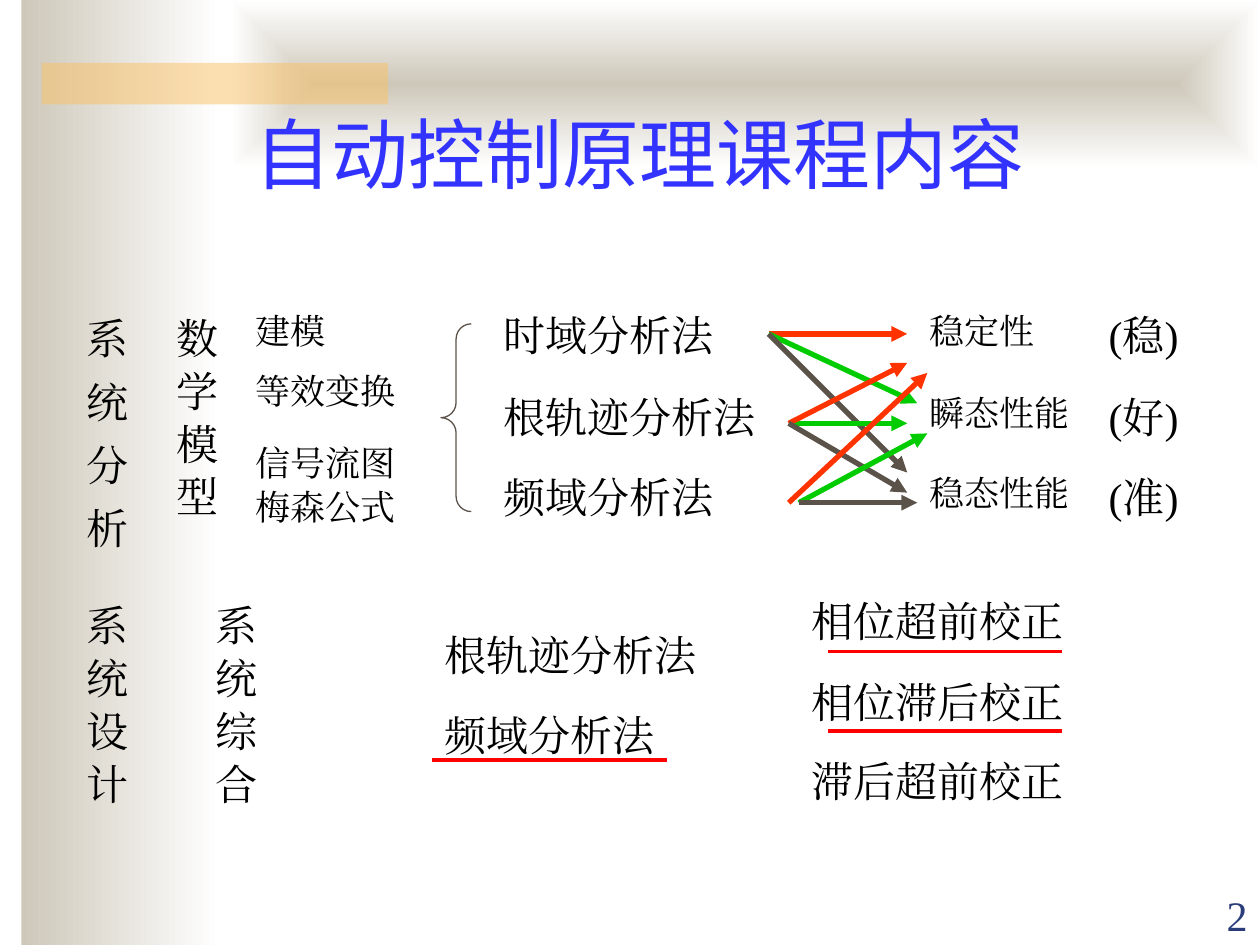
from lxml import etree
from pptx import Presentation
from pptx.dml.color import RGBColor
from pptx.enum import shapes, text
from pptx.oxml import ns
from pptx.util import Inches, Pt

SERIF, SANS = "Times New Roman", "Noto Sans CJK JP"
SAND, WHITE, AMBER, BLACK = "CEC8BA", "FFFFFF", "FAC164", "000000"
RED, GREEN, GREY, UNDERLINE = "FF3300", "00CC00", "5B5249", "FF0000"

TITLE = "自动控制原理课程内容"

# left, top, width, height, space before, characters
VERTICAL_LABELS = [
    (0.59, 2.33, 0.55, 1.97, 6, "系统分析"),
    (1.3, 2.41, 0.55, 1.81, 0, "数学模型"),
    (0.59, 4.69, 0.55, 1.97, 0, "系统设计"),
    (1.61, 4.69, 0.63, 1.65, 0, "系统综合"),
]

# left, width, size, tops, entries
ANALYSIS_ROWS = (2.41, 3.06, 3.69)
COLUMNS = [
    (3.9, 2.29, 24, ANALYSIS_ROWS, ("时域分析法", "根轨迹分析法", "频域分析法")),
    (7.28, 1.73, 20, ANALYSIS_ROWS, ("稳定性", "瞬态性能", "稳态性能")),
    (8.7, 1.1, 24, ANALYSIS_ROWS, ("(稳)", "(好)", "(准)")),
    (3.43, 2.29, 24, (4.95, 5.58), ("根轨迹分析法", "频域分析法")),
    (6.34, 2.28, 24, (4.68, 5.32, 5.95), ("相位超前校正", "相位滞后校正", "滞后超前校正")),
    (1.93, 1.73, 20, (2.41, 2.88), ("建模", "等效变换")),
]
SIGNAL_FLOW = ("信号流图", "梅森公式")

# Each method points to stability (red), transient (green) and steady state (grey)
ARROWS = [
    ((6.1, 2.65), (7.2, 2.65), RED),
    ((6.1, 2.65), (7.28, 3.2), GREEN),
    ((6.1, 2.65), (7.2, 3.75), GREY),
    ((6.26, 3.36), (7.2, 3.36), GREEN),
    ((6.26, 3.36), (7.2, 2.88), RED),
    ((6.26, 3.36), (7.2, 3.91), GREY),
    ((6.26, 3.99), (7.36, 2.96), RED),
    ((6.34, 3.99), (7.36, 3.44), GREEN),
    ((6.34, 3.99), (7.28, 3.99), GREY),
]
UNDERLINE_WIDTH = 1.86
UNDERLINES = [(3.43, 6.03), (6.57, 5.17), (6.57, 5.8)]

prs = Presentation()
prs.slide_width, prs.slide_height = Inches(10), Inches(7.5)
slide = prs.slides.add_slide(prs.slide_layouts[6])


def rgb(value):
    return RGBColor.from_string(value)


def sub(parent, tag, **attributes):
    return etree.SubElement(parent, ns.qn(tag), **attributes)


def add_shape(kind, *box):
    shape = slide.shapes.add_shape(kind, *map(Inches, box))
    shape.shadow.inherit = False
    return shape


def add_band(*box):
    band = add_shape(shapes.MSO_SHAPE.RECTANGLE, *box)
    band.line.fill.background()
    return band


def add_gradient_band(*box):
    """Add a band that fades from sand to white, left to right."""
    band = add_band(*box)
    band.fill.gradient()
    band.fill.gradient_angle = 0
    for stop, color, position in zip(band.fill.gradient_stops, (SAND, WHITE), (0, 1)):
        stop.color.rgb = rgb(color)
        stop.position = position
    return band


def add_text(paragraphs, box, size=24, color=BLACK, font=SERIF,
             align=text.PP_ALIGN.LEFT, anchor=text.MSO_ANCHOR.TOP, before=0):
    frame = slide.shapes.add_textbox(*map(Inches, box)).text_frame
    frame.word_wrap = True
    frame.vertical_anchor = anchor
    frame.text = "\n".join(paragraphs)
    for index, paragraph in enumerate(frame.paragraphs):
        paragraph.alignment = align
        if index:
            paragraph.space_before = Pt(before)
        if len(paragraphs) > 1:
            paragraph.line_spacing = 1.05
        for run in paragraph.runs:
            run.font.size = Pt(size)
            run.font.name = font
            run.font.color.rgb = rgb(color)
            sub(run.font._element, "a:ea", typeface=font)


def add_line(start, end, color, width, arrow=False):
    line = slide.shapes.add_connector(
        shapes.MSO_CONNECTOR.STRAIGHT, *map(Inches, (*start, *end)))
    line.line.color.rgb = rgb(color)
    line.line.width = Pt(width)
    if arrow:
        sub(line.line._get_or_add_ln(), "a:tailEnd", type="triangle")
    sub(line._element.spPr, "a:effectLst")


# Background bands
add_gradient_band(0.17, 0, 1.58, 7.5)

top_band = add_gradient_band(1.83, 0, 8.17, 1.33)
linear = top_band._element.spPr.find(".//" + ns.qn("a:lin"))
radial = etree.Element(ns.qn("a:path"), path="rect")
sub(radial, "a:fillToRect", l="50000", t="50000", r="50000", b="50000")
linear.getparent().replace(linear, radial)

accent = add_band(0.33, 0.5, 2.75, 0.33)
accent.fill.solid()
accent.fill.fore_color.rgb = rgb(AMBER)
sub(accent._element.spPr.find(".//" + ns.qn("a:srgbClr")), "a:alpha", val="50000")

# Title and page number
add_text([TITLE], (0.83, 0.84, 8.5, 0.79), 44, "3333FF", SANS,
         text.PP_ALIGN.CENTER, text.MSO_ANCHOR.BOTTOM)
add_text(["2"], (9, 7.01, 1, 0.5), 24, "2A3D7A",
         align=text.PP_ALIGN.RIGHT, anchor=text.MSO_ANCHOR.BOTTOM)

# Course content
for left, top, width, height, before, characters in VERTICAL_LABELS:
    # The first label starts lower by the gap between its characters
    add_text(list(characters), (left, top + before / 72, width, height - before / 72),
             before=before)

for left, width, size, tops, entries in COLUMNS:
    for top, entry in zip(tops, entries):
        add_text([entry], (left, top, width, 0.53), size)
add_text(SIGNAL_FLOW, (1.93, 3.44, 1.34, 0.85), 20)

brace = add_shape(shapes.MSO_SHAPE.LEFT_BRACE, 3.5, 2.57, 0.24, 1.49)
brace.adjustments[0] = 0.5
brace.fill.background()
brace.line.color.rgb = rgb(GREY)
brace.line.width = Pt(0.75)

for start, end, color in ARROWS:
    add_line(start, end, color, 3, arrow=True)
for left, top in UNDERLINES:
    add_line((left, top), (left + UNDERLINE_WIDTH, top), UNDERLINE, 2)

prs.save("out.pptx")
